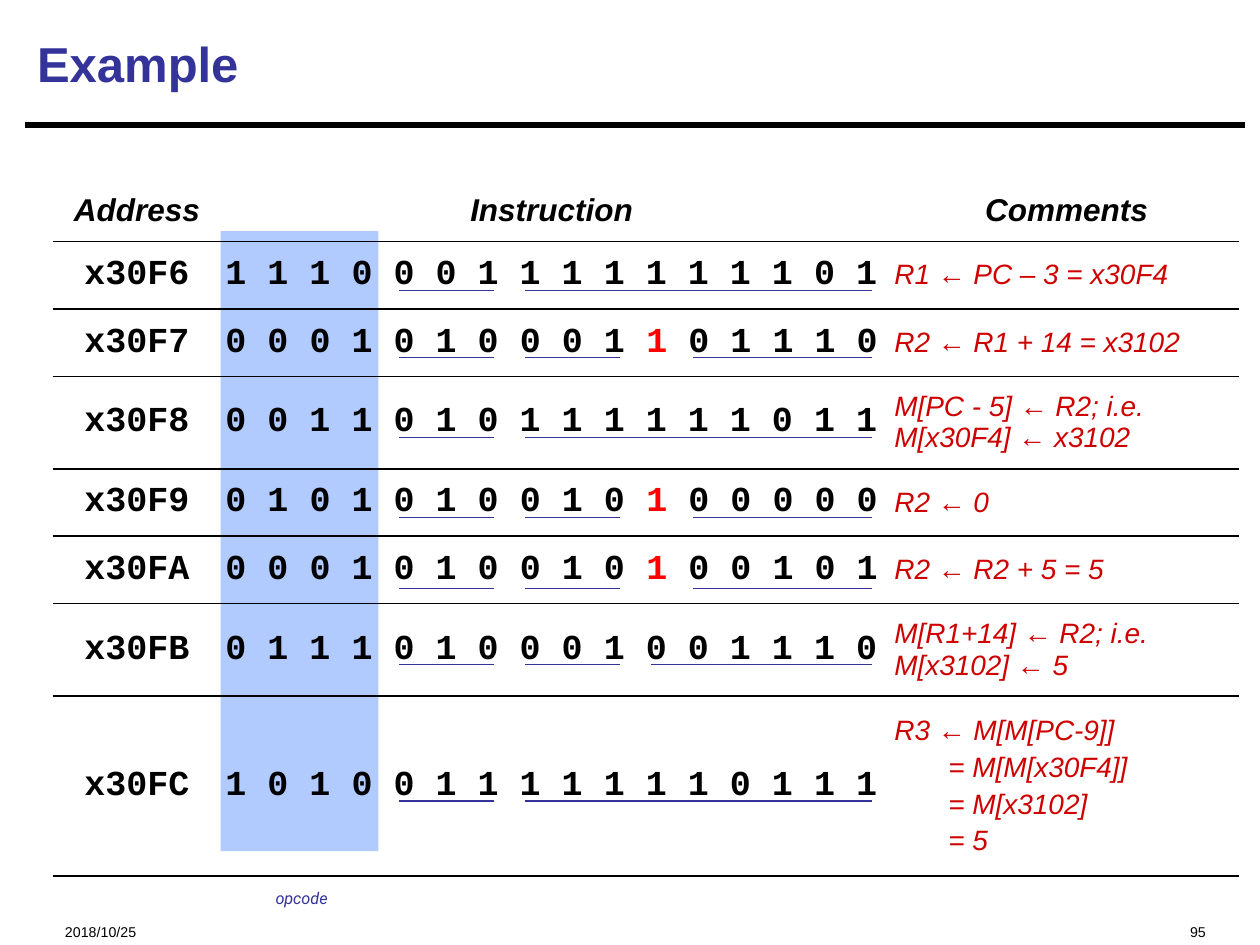
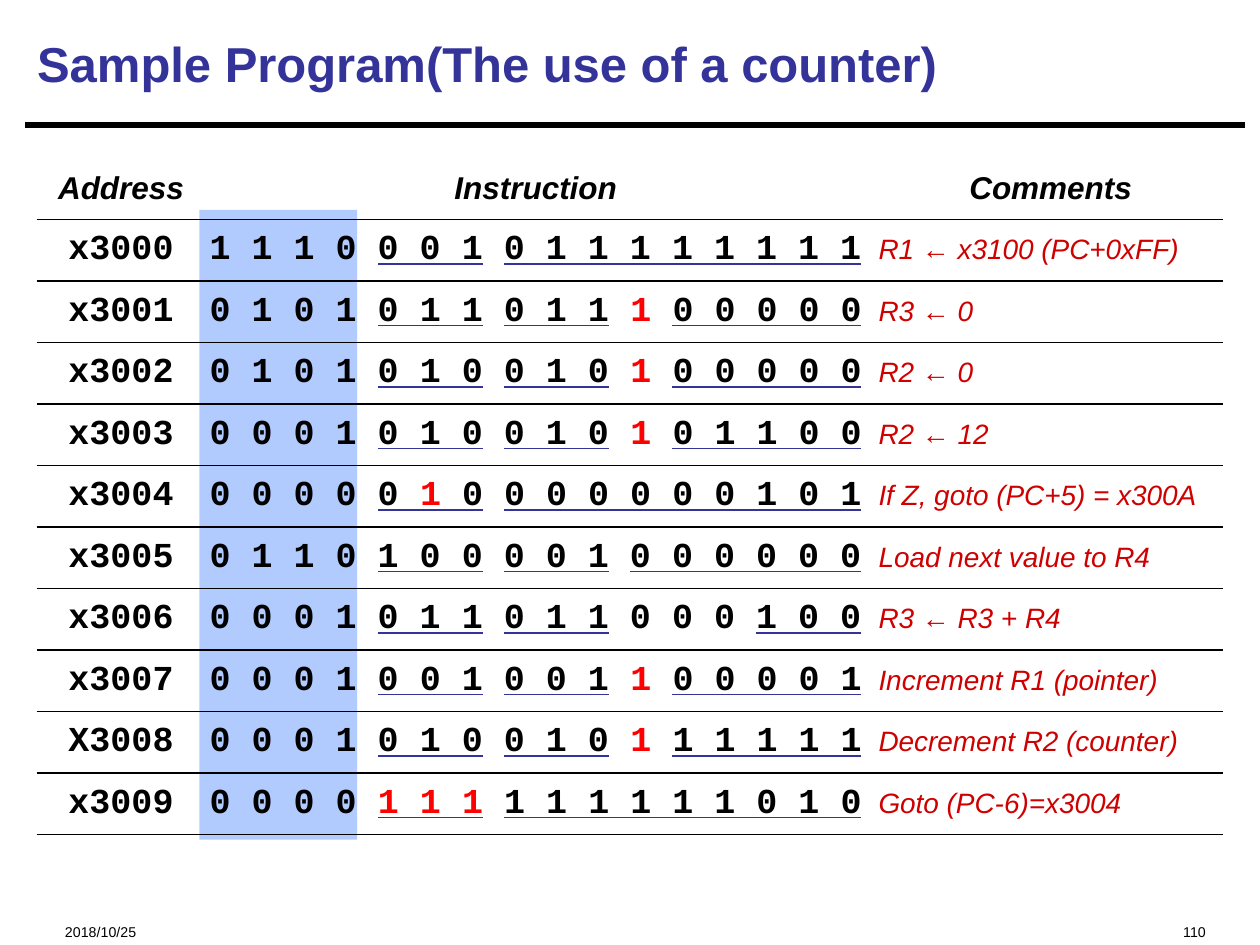
from dataclasses import dataclass

from lxml.etree import SubElement
from pptx import Presentation
from pptx.dml.color import RGBColor
from pptx.enum.shapes import MSO_CONNECTOR as Link, MSO_SHAPE as Form
from pptx.enum.text import MSO_ANCHOR as Anchor, PP_ALIGN as Align
from pptx.oxml.ns import qn
from pptx.util import Cm, Pt

BLACK = RGBColor(0x00, 0x00, 0x00)
NAVY = RGBColor(0x33, 0x33, 0x99)
BLUE = RGBColor(0x66, 0x99, 0xFF)
RED = RGBColor(0xFF, 0x00, 0x00)
WINE = RGBColor(0xCE, 0x00, 0x00)

PLAIN = "{2D5ABB26-0587-4C30-8999-92F81FD0307C}"
COLS = (3.15, 13.57, 7.19)
HEADS = ("Address", "Instruction", "Comments")
PAD = 0.25
PITCH = 2.54 / 3

WIDE = ((4, 6), (7, 15))
IMM = ((4, 6), (7, 9), (11, 15))
BASE = ((4, 6), (7, 9), (10, 15))
REGS = ((4, 6), (7, 9), (13, 15))


@dataclass(frozen=True)
class Style:
    size: float
    color: RGBColor = BLACK
    face: str = "Arial"
    bold: bool = False
    slant: bool = False
    sub: bool = False


TITLE = Style(28, NAVY, bold=True)
FOOT = Style(14, sub=True)
LABEL = Style(16, NAVY, "Roboto", slant=True, sub=True)
HEAD = Style(18, bold=True, slant=True)
CODE = Style(20, face="Courier New", bold=True)
FLAG = Style(20, RED, "Courier New", bold=True)
NOTE = Style(16, WINE, slant=True)


@dataclass(frozen=True)
class Box:
    left: float
    top: float
    width: float
    height: float

    def cms(self) -> tuple:
        return Cm(self.left), Cm(self.top), Cm(self.width), Cm(self.height)


@dataclass(frozen=True)
class Row:
    addr: str
    bits: str
    note: str
    fields: tuple
    height: float
    drop: float = 0.3


@dataclass(frozen=True)
class Page:
    title: str
    number: str
    left: float
    top: float
    head: float
    pad: float
    band: Box
    start: float
    tail: float
    rows: tuple
    label: str = ""


def add_run(para, text: str, style: Style) -> None:
    run = para.add_run()
    run.text = text
    font = run.font
    font.size, font.name = Pt(style.size), style.face
    font.bold, font.italic = style.bold, style.slant
    font.color.rgb = style.color
    if style.sub:
        run._r.get_or_add_rPr().set("baseline", "-25000")


def add_text(slide, box: Box, text: str, style: Style, align=Align.LEFT,
             anchor=Anchor.TOP, wrap: bool = True) -> None:
    frame = slide.shapes.add_textbox(*box.cms()).text_frame
    frame.word_wrap = wrap
    frame.vertical_anchor = anchor
    para = frame.paragraphs[0]
    para.alignment = align
    add_run(para, text, style)


def add_line(slide, left: float, right: float, y: float, color: RGBColor, width: float) -> None:
    line = slide.shapes.add_connector(Link.STRAIGHT, Cm(left), Cm(y), Cm(right), Cm(y))
    line.line.color.rgb = color
    line.line.width = Pt(width)
    SubElement(line._element.spPr, qn("a:effectLst"))


def add_band(slide, box: Box) -> None:
    band = slide.shapes.add_shape(Form.RECTANGLE, *box.cms())
    band.shadow.inherit = False
    band.line.fill.background()
    band.fill.solid()
    band.fill.fore_color.rgb = BLUE
    tone = band._element.spPr.find(".//" + qn("a:srgbClr"))
    SubElement(tone, qn("a:alpha"), val="50000")


def set_cell(cell, pad: float) -> None:
    cell.vertical_anchor = Anchor.MIDDLE
    cell.margin_left, cell.margin_right = Cm(PAD), Cm(0)
    cell.margin_top = cell.margin_bottom = Cm(pad)
    edge = SubElement(cell._tc.get_or_add_tcPr(), qn("a:lnB"), w=str(Pt(1)))
    fill = SubElement(edge, qn("a:solidFill"))
    SubElement(fill, qn("a:srgbClr"), val=str(BLACK))
    cell.fill.background()


def add_code(cell, text: str) -> None:
    para = cell.text_frame.paragraphs[0]
    para.alignment = Align.CENTER
    for i, part in enumerate(text.split("*")):
        if part:
            add_run(para, part, FLAG if i % 2 else CODE)


def add_note(cell, text: str) -> None:
    frame = cell.text_frame
    for i, item in enumerate(text.split("|")):
        para = frame.add_paragraph() if i else frame.paragraphs[0]
        if i:
            para.space_before = Pt(3.2)
            para._p.get_or_add_pPr().set("marL", str(Cm(1.09)))
        for j, line in enumerate(item.split("\n")):
            if j:
                para.add_line_break()
            add_run(para, line, NOTE)


def add_grid(slide, page: Page) -> None:
    sizes = [page.head] + [row.height for row in page.rows]
    box = Box(page.left, page.top, sum(COLS), sum(sizes))
    table = slide.shapes.add_table(len(sizes), len(COLS), *box.cms()).table
    table.first_row = table.horz_banding = False
    table._tbl.tblPr.find(qn("a:tableStyleId")).text = PLAIN
    for col, width in zip(table.columns, COLS):
        col.width = Cm(width)
    for i, size in enumerate(sizes):
        table.rows[i].height = Cm(size)
        for cell in table.rows[i].cells:
            set_cell(cell, page.pad if i else PAD)
    for cell, text in zip(table.rows[0].cells, HEADS):
        para = cell.text_frame.paragraphs[0]
        para.alignment = Align.CENTER
        add_run(para, text, HEAD)
    for i, row in enumerate(page.rows, 1):
        add_code(table.cell(i, 0), row.addr)
        add_code(table.cell(i, 1), row.bits)
        add_note(table.cell(i, 2), row.note)


def add_marks(slide, page: Page) -> None:
    top = page.top + page.head
    for row in page.rows:
        y = top + row.height / 2 + row.drop
        for first, last in row.fields:
            left = page.start + (first - 4) * PITCH
            right = page.start + (last - 4) * PITCH + page.tail
            add_line(slide, left, right, y, NAVY, 0.75)
        top += row.height


def add_page(deck, page: Page) -> None:
    slide = deck.slides.add_slide(deck.slide_layouts[6])
    add_line(slide, 0.5, 25.1, 2.52, BLACK, 3.75)
    add_text(slide, Box(1.06, 18.16, 6.35, 0.69), "2018/10/25", FOOT)
    add_text(slide, Box(16.94, 18.16, 7.62, 0.69), page.number, FOOT, Align.RIGHT)
    add_band(slide, page.band)
    add_text(slide, Box(0.5, 0.2, 24.56, 2.13), page.title, TITLE, anchor=Anchor.MIDDLE)
    add_grid(slide, page)
    if page.label:
        add_text(slide, Box(4.9, 17.4, 2.36, 0.94), page.label, LABEL, Align.CENTER, wrap=False)
    add_marks(slide, page)


LOW, MID, TALL, STEP = 1.36, 1.86, 3.63, 1.24

PAGES = (
    Page("Example", "95", 1.06, 3.6, 1.27, PAD, Box(4.45, 4.66, 3.18, 12.5), 8.05, 0.21, (
        Row("x30F6", "1 1 1 0 0 0 1 1 1 1 1 1 1 1 0 1", "R1 ← PC – 3 = x30F4", WIDE, LOW),
        Row("x30F7", "0 0 0 1 0 1 0 0 0 1 *1* 0 1 1 1 0", "R2 ← R1 + 14 = x3102", IMM, LOW),
        Row("x30F8", "0 0 1 1 0 1 0 1 1 1 1 1 1 0 1 1",
            "M[PC - 5] ← R2; i.e.\nM[x30F4] ← x3102", WIDE, MID),
        Row("x30F9", "0 1 0 1 0 1 0 0 1 0 *1* 0 0 0 0 0", "R2 ← 0", IMM, LOW),
        Row("x30FA", "0 0 0 1 0 1 0 0 1 0 *1* 0 0 1 0 1", "R2 ← R2 + 5 = 5", IMM, LOW, 0.38),
        Row("x30FB", "0 1 1 1 0 1 0 0 0 1 0 0 1 1 1 0",
            "M[R1+14] ← R2; i.e.\nM[x3102] ← 5", BASE, MID),
        Row("x30FC", "1 0 1 0 0 1 1 1 1 1 1 1 0 1 1 1",
            "R3 ← M[M[PC-9]]|= M[M[x30F4]]|= M[x3102]|= 5", WIDE, TALL),
    ), "opcode"),
    Page("Sample Program(The use of a counter)", "110", 0.74, 3.16, STEP, 0,
         Box(4.02, 4.23, 3.18, 12.7), 7.62, 0.42, (
        Row("x3000", "1 1 1 0 0 0 1 0 1 1 1 1 1 1 1 1", "R1 ← x3100 (PC+0xFF)", WIDE, STEP),
        Row("x3001", "0 1 0 1 0 1 1 0 1 1 *1* 0 0 0 0 0", "R3 ← 0", IMM, STEP),
        Row("x3002", "0 1 0 1 0 1 0 0 1 0 *1* 0 0 0 0 0", "R2 ← 0", IMM, STEP),
        Row("x3003", "0 0 0 1 0 1 0 0 1 0 *1* 0 1 1 0 0", "R2 ← 12", IMM, STEP),
        Row("x3004", "0 0 0 0 0 *1* 0 0 0 0 0 0 0 1 0 1", "If Z, goto (PC+5) = x300A", WIDE, STEP),
        Row("x3005", "0 1 1 0 1 0 0 0 0 1 0 0 0 0 0 0", "Load next value to R4", BASE, STEP),
        Row("x3006", "0 0 0 1 0 1 1 0 1 1 0 0 0 1 0 0", "R3 ← R3 + R4", REGS, STEP),
        Row("x3007", "0 0 0 1 0 0 1 0 0 1 *1* 0 0 0 0 1", "Increment R1 (pointer)", IMM, STEP),
        Row("X3008", "0 0 0 1 0 1 0 0 1 0 *1* 1 1 1 1 1", "Decrement R2 (counter)", IMM, STEP),
        Row("x3009", "0 0 0 0 *1 1 1* 1 1 1 1 1 1 0 1 0", "Goto (PC-6)=x3004", WIDE, STEP),
    )),
)


def main() -> None:
    deck = Presentation()
    deck.slide_width, deck.slide_height = Cm(25.4), Cm(19.05)
    for page in PAGES:
        add_page(deck, page)
    deck.save("out.pptx")


if __name__ == "__main__":
    main()
